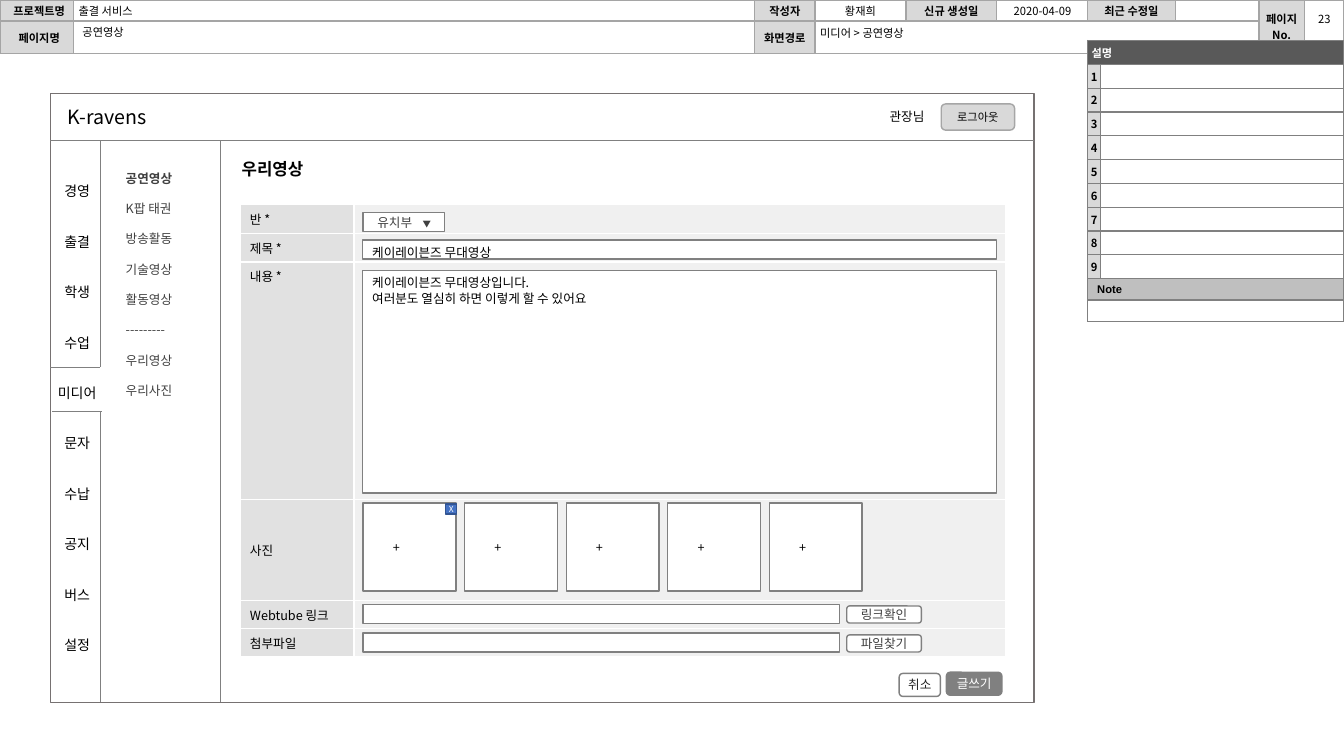
import pptx
import pptx.util
import pptx.dml.color
import pptx.enum.shapes
import pptx.enum.text
import lxml.etree
import pptx.oxml.ns

Cm, Pt = pptx.util.Cm, pptx.util.Pt
RGBColor = pptx.dml.color.RGBColor
Align = pptx.enum.text.PP_ALIGN
Anchor = pptx.enum.text.MSO_ANCHOR
Shape = pptx.enum.shapes.MSO_SHAPE
qn = pptx.oxml.ns.qn

FONT = "Noto Sans CJK KR"
BLACK = RGBColor(0, 0, 0)
WHITE = RGBColor(255, 255, 255)
DARK = RGBColor(0x40, 0x40, 0x40)
INK = RGBColor(0x26, 0x26, 0x26)
GRAY = RGBColor(0x80, 0x80, 0x80)
FRAME = RGBColor(0x76, 0x71, 0x71)
HEADING = RGBColor(0x59, 0x59, 0x59)
NOTE = RGBColor(0xBF, 0xBF, 0xBF)
LABEL = RGBColor(0xD9, 0xD9, 0xD9)
HEADER_EDGE = RGBColor(0xA5, 0xA5, 0xA5)
BUTTON_EDGE = RGBColor(0xA6, 0xA6, 0xA6)
FORM_LABEL = RGBColor(0xE1, 0xE1, 0xE1)
FORM_FIELD = RGBColor(0xF0, 0xF0, 0xF0)
BLUE = RGBColor(0x44, 0x72, 0xC4)
BLUE_EDGE = RGBColor(0x32, 0x54, 0x91)

HEADER_COLUMNS = [1.85, 17.17, 1.52, 2.29, 2.29, 2.29, 2.21, 2.11, 1.14, 0.99]
HEADER_ROWS = [
    ["프로젝트명", "출결 서비스", "작성자", "황재희", "신규 생성일", "", "최근 수정일", "", "페이지 No.", ""],
    ["페이지명", "", "화면경로", "", "", "", "", "", "", ""],
]
DESCRIPTION_ROWS = [["설명", ""]] + [[str(n), ""] for n in range(1, 10)] + [["Note", ""], ["", ""]]
FORM_ROWS = [["반 *", ""], ["제목 *", ""], ["내용 *", ""], ["사진", ""], ["Webtube 링크", ""], ["첨부파일", ""]]
MAIN_MENU = ["경영", "출결", "학생", "수업", "미디어", "문자", "수납", "공지", "버스", "설정"]
SUB_MENU = ["공연영상", "K팝 태권", "방송활동", "기술영상", "활동영상", "---------", "우리영상", "우리사진"]
MESSAGE = ["케이레이븐즈 무대영상입니다.", "여러분도 열심히 하면 이렇게 할 수 있어요"]

CENTERED = dict(align=Align.CENTER, anchor=Anchor.MIDDLE, insets=(0.1, 0.13, 0.1, 0.13))
LABELS = [
    ("공연영상", (1.98, 0.53, 16.87, 0.53), dict(size=8, insets=(0.1, 0.1, 0.1, 0.1))),
    ("2020-04-09", (25.4, 0, 1.75, 0.48), dict(size=8, align=Align.CENTER, insets=(0, 0.1, 0, 0.1))),
    ("23", (32.89, 0.03, 0.97, 0.74), dict(size=8, align=Align.CENTER, insets=(0, 0.3, 0, 0.1))),
    ("미디어 > 공연영상", (20.57, 0.56, 10.97, 0.53), dict(size=8, insets=(0.1, 0.1, 0.1, 0.1))),
    ("K-ravens", (1.45, 2.51, 3, 0.86), dict(size=14)),
    ("우리영상", (5.84, 3.86, 2.24, 0.76), dict(size=12, bold=True, wrap=False)),
    ("관장님", (22.17, 2.62, 1.47, 0.64), dict(wrap=False)),
    (MAIN_MENU, (1.07, 4.27, 1.75, 13), dict(size=10, align=Align.CENTER, line=18, after=18)),
    (SUB_MENU, (2.92, 4.17, 2.39, 6.4), dict(color=DARK, line=10.8, after=10.85)),
]
DIVIDERS = [
    ((2.54, 3.53), (2.54, 17.7), GRAY),
    ((5.56, 3.53), (5.56, 17.7), GRAY),
    ((1.27, 3.53), (26.06, 3.53), GRAY),
    ((2.54, 9.25), (1.27, 9.25), GRAY),
    ((2.57, 10.36), (1.3, 10.36), GRAY),
    ((2.54, 9.25), (2.54, 10.36), WHITE),
]
FIELDS = [
    (MESSAGE, (9.13, 6.81, 15.98, 5.61), dict(line=10.8)),
    ("케이레이븐즈 무대영상", (9.13, 6.05, 15.98, 0.48), dict(line=10.8)),
    ("", (9.15, 15.24, 12.01, 0.48), {}),
    ("", (9.15, 15.95, 12.01, 0.48), {}),
    ("유치부\t▼", (9.15, 5.36, 2.06, 0.48),
     dict(color=DARK, anchor=Anchor.MIDDLE, insets=(0.36, 0.13, 0, 0.13))),
]
BUTTONS = [
    ("로그아웃", (23.72, 2.62, 1.85, 0.66), LABEL, BUTTON_EDGE, dict(size=8)),
    ("글쓰기", (23.85, 16.94, 1.4, 0.58), GRAY, GRAY, dict(color=WHITE)),
    ("취소", (22.66, 16.97, 1.04, 0.58), WHITE, GRAY, dict(color=INK)),
    ("링크확인", (21.34, 15.27, 1.88, 0.43), WHITE, GRAY, dict(color=DARK)),
    ("파일찾기", (21.34, 16, 1.88, 0.43), WHITE, GRAY, dict(color=DARK)),
]
PHOTO_COUNT, PHOTO_LEFT, PHOTO_STEP = 5, 9.15, 2.56
ARROW, ARROW_SIZE, ARROW_TAB = "▼", 6, 1.14


def write_text(frame, text, size=9, bold=False, color=BLACK, font=FONT, align=Align.LEFT,
               anchor=Anchor.TOP, insets=(0.25, 0.13, 0.25, 0.13), wrap=True, line=None, after=0):
    frame.word_wrap = wrap
    frame.vertical_anchor = anchor
    frame.margin_left, frame.margin_top, frame.margin_right, frame.margin_bottom = map(Cm, insets)
    for index, words in enumerate([text] if isinstance(text, str) else text):
        para = frame.add_paragraph() if index else frame.paragraphs[0]
        para.alignment = align
        para.space_after = Pt(after)
        if line:
            para.line_spacing = Pt(line)
        for part in filter(None, words.partition(ARROW)):
            span = para.add_run()
            span.text = part
            span.font.size = Pt(ARROW_SIZE if part == ARROW else size)
            span.font.bold, span.font.name = bold, font
            span.font.color.rgb = color
            east_asian = lxml.etree.SubElement(span.font._element, qn("a:ea"))
            east_asian.set("typeface", font)


def add_box(page, kind, place, fill, edge):
    box = page.shapes.add_shape(kind, *map(Cm, place))
    box.shadow.inherit = False
    if fill is None:
        box.fill.background()
    else:
        box.fill.solid()
        box.fill.fore_color.rgb = fill
    box.line.color.rgb = edge
    box.line.width = Pt(1)
    return box


def add_grid(page, left, top, columns, heights, rows, edge, style, merges=()):
    grid = page.shapes.add_table(len(rows), len(columns), Cm(left), Cm(top),
                                 Cm(sum(columns)), Cm(sum(heights))).table
    for column, width in zip(grid.columns, columns):
        column.width = Cm(width)
    for row, height in zip(grid.rows, heights):
        row.height = Cm(height)
    for r, row in enumerate(rows):
        for c, words in enumerate(row):
            cell = grid.cell(r, c)
            fill, look = style(r, c)
            properties = cell._tc.get_or_add_tcPr()
            for side in ("a:lnL", "a:lnR", "a:lnT", "a:lnB"):
                border = lxml.etree.SubElement(properties, qn(side), w=str(Pt(1)))
                paint = lxml.etree.SubElement(border, qn("a:solidFill"))
                lxml.etree.SubElement(paint, qn("a:srgbClr"), val=str(edge))
            cell.fill.solid()
            cell.fill.fore_color.rgb = fill
            if words:
                write_cell(cell, words, look)
            else:
                cell.margin_top = cell.margin_bottom = 0
                lxml.etree.SubElement(cell.text_frame.paragraphs[0]._p, qn("a:endParaRPr"), sz="600")
    for first, last in merges:
        grid.cell(*first).merge(grid.cell(*last))


def write_cell(cell, words, look):
    look = dict(look)
    insets = look.pop("insets", (0.25, 0.13, 0.25, 0.13))
    anchor = look.pop("anchor", Anchor.TOP)
    write_text(cell.text_frame, words, **look)
    body = cell.text_frame._txBody.find(qn("a:bodyPr"))
    body.attrib.clear()
    cell.vertical_anchor = anchor
    cell.margin_left, cell.margin_top, cell.margin_right, cell.margin_bottom = map(Cm, insets)


def header_style(r, c):
    label = c % 2 == 0
    indent = 0.13 if c < 2 else 0
    return LABEL if label else WHITE, dict(
        size=8, bold=label, anchor=Anchor.MIDDLE, insets=(indent, 0, 0, 0),
        align=Align.LEFT if c == 1 else Align.CENTER)


def description_style(r, c):
    look = dict(size=8, bold=True, anchor=Anchor.MIDDLE, insets=(0.1, 0.05, 0.1, 0.05))
    if r == 0:
        return HEADING, dict(look, color=WHITE)
    if r == 10:
        return NOTE, dict(look, font="Arial", insets=(0.24, 0.05, 0.1, 0.05))
    return LABEL if c == 0 and r < 10 else WHITE, dict(look, align=Align.CENTER, insets=(0.05, 0.05, 0.05, 0.05))


def form_style(r, c):
    return FORM_FIELD if c else FORM_LABEL, dict(anchor=Anchor.MIDDLE if r == 3 else Anchor.TOP)


def main():
    deck = pptx.Presentation()
    deck.slide_width, deck.slide_height = Cm(33.87), Cm(19.05)
    page = deck.slides.add_slide(deck.slide_layouts[6])

    add_grid(page, 0, 0, HEADER_COLUMNS, [0.53, 0.81], HEADER_ROWS, HEADER_EDGE, header_style,
             [((0, 8), (1, 8)), ((0, 9), (1, 9)), ((1, 3), (1, 7))])
    add_grid(page, 27.41, 1.02, [0.33, 6.12], [0.6] * 10 + [0.54] * 2, DESCRIPTION_ROWS, GRAY,
             description_style, [((r, 0), (r, 1)) for r in (0, 10, 11)])
    add_box(page, Shape.RECTANGLE, (1.27, 2.36, 24.79, 15.34), None, FRAME)
    for start, end, color in DIVIDERS:
        divider = page.shapes.add_connector(pptx.enum.shapes.MSO_CONNECTOR.STRAIGHT, *map(Cm, start + end))
        divider.line.color.rgb = color
        divider.line.width = Pt(0.5)
        lxml.etree.SubElement(divider._element.spPr, qn("a:effectLst"))
    for text, place, look in LABELS:
        label = page.shapes.add_textbox(*map(Cm, place))
        write_text(label.text_frame, text, **look)
        if text is SUB_MENU:
            label.text_frame.paragraphs[0].runs[0].font.bold = True
    add_grid(page, 6.05, 5.16, [2.87, 16.43], [0.72, 0.72, 5.98, 2.55, 0.71, 0.71], FORM_ROWS,
             WHITE, form_style)
    for text, place, look in FIELDS:
        field = add_box(page, Shape.RECTANGLE, place, WHITE, GRAY)
        if text:
            write_text(field.text_frame, text, **look)
        if "\t" in text:
            para = field.text_frame.paragraphs[0]
            stops = lxml.etree.SubElement(para._p.get_or_add_pPr(), qn("a:tabLst"))
            lxml.etree.SubElement(stops, qn("a:tab"), pos=str(Cm(ARROW_TAB)), algn="l")
    for text, place, fill, edge, look in BUTTONS:
        button = add_box(page, Shape.ROUNDED_RECTANGLE, place, fill, edge)
        write_text(button.text_frame, text, **CENTERED, **look)
    for index in range(PHOTO_COUNT):
        photo = add_box(page, Shape.RECTANGLE, (PHOTO_LEFT + index * PHOTO_STEP, 12.68, 2.34, 2.21), WHITE, GRAY)
        write_text(photo.text_frame, "+", anchor=Anchor.MIDDLE, insets=(0.75, 0.13, 0.25, 0.13))
    remover = add_box(page, Shape.RECTANGLE, (11.23, 12.7, 0.28, 0.25), BLUE, BLUE_EDGE)
    write_text(remover.text_frame, "X", size=6, color=WHITE, align=Align.CENTER, anchor=Anchor.MIDDLE,
               insets=(0, 0, 0, 0))
    deck.save("out.pptx")


if __name__ == "__main__":
    main()
